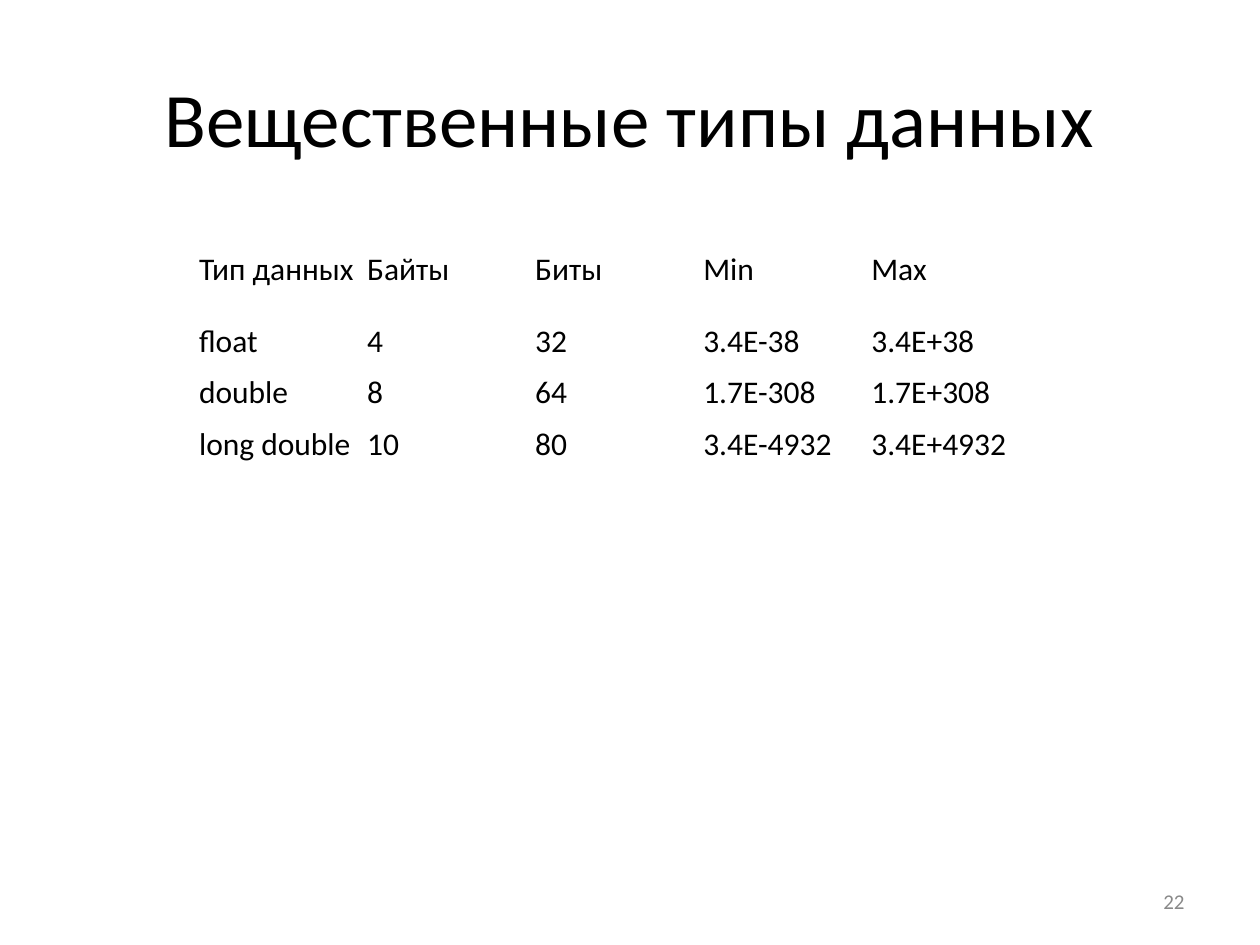
from pptx import Presentation
from pptx.dml.color import RGBColor
from pptx.enum.text import MSO_ANCHOR as Anchor, PP_ALIGN as Align
from pptx.util import Inches, Pt

COLORS = {"text": "000000", "number": "898989"}
ROWS = [
    ("Тип данных", "Байты", "Биты", "Min", "Max"),
    ("float", "4", "32", "3.4E-38", "3.4E+38"),
    ("double", "8", "64", "1.7E-308", "1.7E+308"),
    ("long double", "10", "80", "3.4E-4932", "3.4E+4932"),
]
ROW_HEIGHTS = [0.72, 0.41, 0.41, 0.41]


class SlideBuilder:
    font = "Calibri"

    def __init__(self, slide):
        self.slide = slide

    def set_text(self, tf, text, size, color="text", align=Align.LEFT):
        tf.word_wrap = True
        p = tf.paragraphs[0]
        p.text = text
        p.alignment = align
        p.font.name = self.font
        p.font.size = Pt(size)
        p.font.color.rgb = RGBColor.from_string(COLORS[color])
        return p

    def title(self, text, x, y, w, h):
        sp = self.slide.shapes.title
        sp.left, sp.top, sp.width, sp.height = map(Inches, (x, y, w, h))
        sp.text_frame.vertical_anchor = Anchor.MIDDLE
        self.set_text(sp.text_frame, text, 44, align=Align.CENTER)

    def table(self, rows, heights, x, y, w):
        frame = self.slide.shapes.add_table(
            len(rows), len(rows[0]), Inches(x), Inches(y), Inches(w), Inches(sum(heights)))
        table = frame.table
        table.first_row = table.horz_banding = False
        for row, height, values in zip(table.rows, heights, rows):
            row.height = Inches(height)
            for cell, value in zip(row.cells, values):
                cell.fill.background()
                cell.vertical_anchor = Anchor.MIDDLE
                cell.margin_left = cell.margin_right = Inches(0.05)
                cell.margin_top = cell.margin_bottom = Inches(0.05)
                p = self.set_text(cell.text_frame, value, 18)
                p.line_spacing = 1.02

    def page_number(self, text, x, y, w, h):
        sp = self.slide.shapes.add_textbox(*map(Inches, (x, y, w, h)))
        sp.text_frame.vertical_anchor = Anchor.MIDDLE
        self.set_text(sp.text_frame, text, 12, "number", Align.RIGHT)


def main():
    prs = Presentation()
    prs.slide_width, prs.slide_height = Inches(10), Inches(7.5)
    s = SlideBuilder(prs.slides.add_slide(prs.slide_layouts[5]))
    s.title("Вещественные типы данных", 0.5, 0.3, 9, 1.25)
    s.table(ROWS, ROW_HEIGHTS, 1.53, 1.78, 6.67)
    s.page_number("22", 7.17, 6.95, 2.33, 0.4)
    prs.save("out.pptx")


if __name__ == "__main__":
    main()
